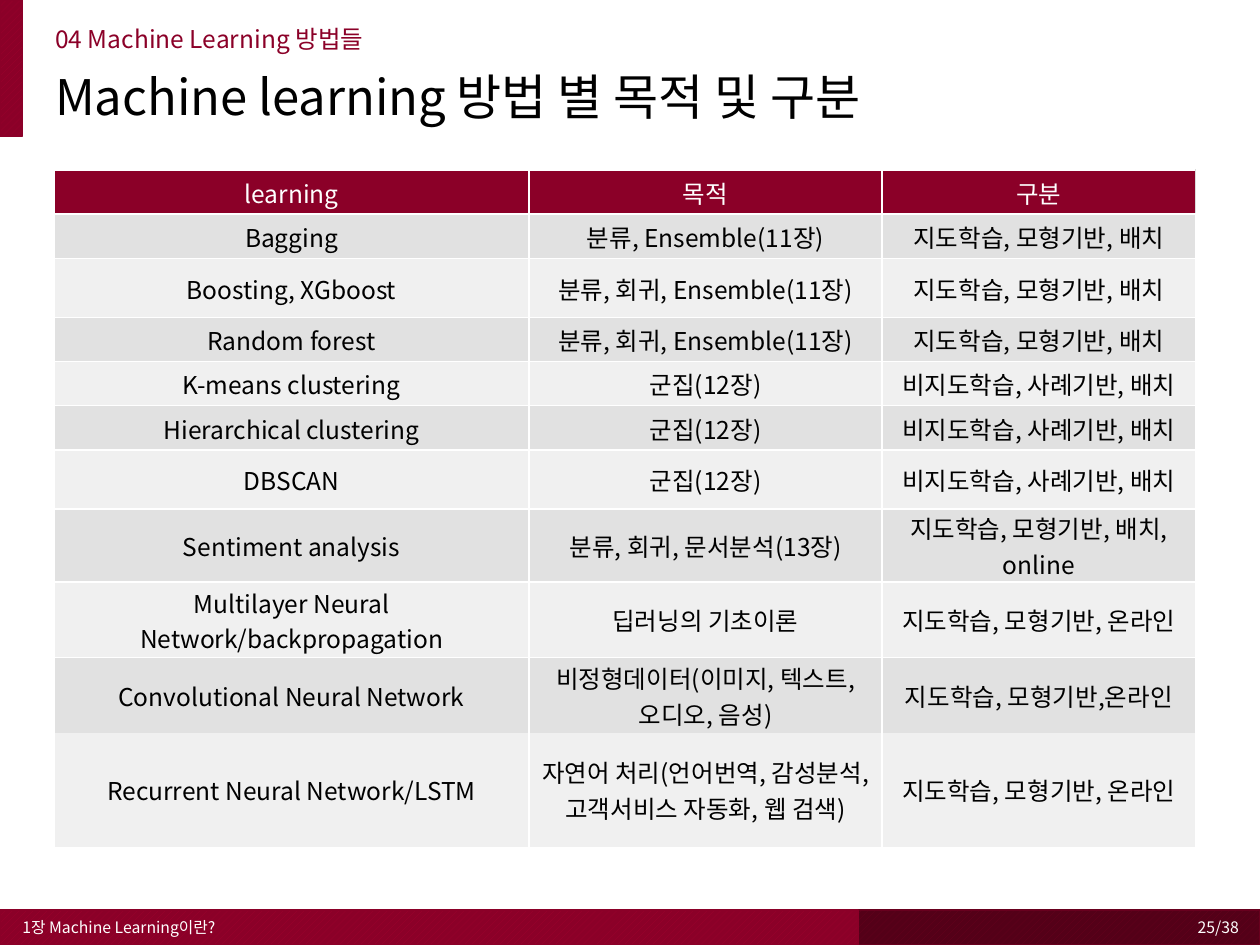
from pptx import Presentation
from pptx.dml.color import RGBColor
from pptx.enum.dml import MSO_PATTERN
from pptx.enum.shapes import MSO_SHAPE
from pptx.enum.text import MSO_ANCHOR, PP_ALIGN
from pptx.oxml.ns import qn
from pptx.util import Inches, Pt
from lxml import etree

FONT = "Noto Sans CJK KR"
WINE = RGBColor(0x8B, 0x00, 0x28)
RED = RGBColor(0x9E, 0x00, 0x2D)
DARK = RGBColor(0x54, 0x00, 0x18)
PLUM = RGBColor(0x68, 0x00, 0x1E)
WHITE = RGBColor(0xFF, 0xFF, 0xFF)
BLACK = RGBColor(0x00, 0x00, 0x00)
GREY = RGBColor(0xE1, 0xE1, 0xE1)
PALE = RGBColor(0xF0, 0xF0, 0xF0)
SILVER = RGBColor(0xDB, 0xDB, 0xDB)


def write(frame, text, size, color, align):
    para = frame.paragraphs[0]
    para.text = text
    para.alignment = align
    for run in para.runs:
        for key, val in {"size": Pt(size), "name": FONT}.items():
            setattr(run.font, key, val)
        run.font.color.rgb = color
        east = etree.SubElement(run.font._element, qn("a:ea"))
        east.set("typeface", FONT)
    return para


def edge(cell, side, color):
    props = cell._tc.get_or_add_tcPr()
    line = etree.SubElement(props, qn("a:ln" + side), w=str(Pt(1)))
    fill = etree.SubElement(line, qn("a:solidFill"))
    etree.SubElement(fill, qn("a:srgbClr"), val=str(color))


prs = Presentation()
prs.slide_width, prs.slide_height = Inches(10), Inches(7.5)
slide = prs.slides.add_slide(prs.slide_layouts[6])

# Footer bars and corner block
bars = [
    ((6.68, 7.22, 3.32, 0.28), PLUM, DARK, PLUM),
    ((0, 7.22, 6.81, 0.28), RED, WINE, WINE),
    ((0, 0, 0.18, 1.08), RED, WINE, WINE),
]
for box, fore, back, rim in bars:
    bar = slide.shapes.add_shape(MSO_SHAPE.RECTANGLE, *map(Inches, box))
    bar.shadow.inherit = False
    bar.fill.patterned()
    bar.fill.pattern = MSO_PATTERN.WIDE_UPWARD_DIAGONAL
    bar.fill.fore_color.rgb = fore
    bar.fill.back_color.rgb = back
    bar.line.color.rgb = rim
    bar.line.width = Pt(1)

# Headings and footer text
TOP, MID = MSO_ANCHOR.TOP, MSO_ANCHOR.MIDDLE
LEFT, RIGHT = PP_ALIGN.LEFT, PP_ALIGN.RIGHT
texts = [
    ((0.34, 0.53, 9.23, 0.56), "Machine learning 방법 별 목적 및 구분", 28, BLACK, LEFT, TOP, 0.9),
    ((0.34, 0.17, 9.23, 0.26), "04 Machine Learning 방법들", 14, WINE, LEFT, TOP, 0.9),
    ((0.08, 7.22, 3.38, 0.28), "1장 Machine Learning이란?", 9, WHITE, LEFT, MID, 1.0),
    ((7.68, 7.22, 2.25, 0.28), "25/38", 9, WHITE, RIGHT, MID, 1.0),
]
for box, text, size, color, align, anchor, space in texts:
    frame = slide.shapes.add_textbox(*map(Inches, box)).text_frame
    form = {"word_wrap": True, "vertical_anchor": anchor}
    for key, val in form.items():
        setattr(frame, key, val)
    write(frame, text, size, color, align).line_spacing = space

# Table of methods
BATCH = "지도학습, 모형기반, 배치"
CASE = "비지도학습, 사례기반, 배치"
LIVE = "지도학습, 모형기반, 온라인"
BOTH = "분류, 회귀, Ensemble(11장)"
GROUP = "군집(12장)"
rows = [
    (0.35, "learning", "목적", "구분"),
    (0.35, "Bagging", "분류, Ensemble(11장)", BATCH),
    (0.47, "Boosting, XGboost", BOTH, BATCH),
    (0.35, "Random forest", BOTH, BATCH),
    (0.35, "K-means clustering", GROUP, CASE),
    (0.35, "Hierarchical clustering", GROUP, CASE),
    (0.47, "DBSCAN", GROUP, CASE),
    (0.58, "Sentiment analysis", "분류, 회귀, 문서분석(13장)", "지도학습, 모형기반, 배치, online"),
    (0.6, "Multilayer Neural\vNetwork/backpropagation", "딥러닝의 기초이론", LIVE),
    (0.6, "Convolutional Neural Network", "비정형데이터(이미지, 텍스트, 오디오, 음성)",
     "지도학습, 모형기반,온라인"),
    (0.9, "Recurrent Neural Network/LSTM",
     "자연어 처리(언어번역, 감성분석, 고객서비스 자동화, 웹 검색)", LIVE),
]
cols = [3.77, 2.8, 2.49]
tall = sum(row[0] for row in rows)
table = slide.shapes.add_table(
    len(rows), len(cols), Inches(0.43), Inches(1.35), Inches(sum(cols)), Inches(tall)
).table
# Plain style without grid
table._tbl.tblPr.find(qn("a:tableStyleId")).text = "{2D5ABB26-0587-4C30-8999-92F81FD0307C}"
for col, width in zip(table.columns, cols):
    col.width = Inches(width)

for i, (height, *words) in enumerate(rows):
    table.rows[i].height = Inches(height)
    side, top, low = (0.01, 0.01, 0) if i < 8 else (0.07, 0.02, 0.02)
    for j, word in enumerate(words):
        cell = table.cell(i, j)
        form = {
            "vertical_anchor": MID,
            "margin_left": Inches(side),
            "margin_right": Inches(side),
            "margin_top": Inches(top),
            "margin_bottom": Inches(low),
        }
        for key, val in form.items():
            setattr(cell, key, val)
        write(cell.text_frame, word, 14, BLACK if i else WHITE, PP_ALIGN.CENTER)
        # White rules; the last two rows have upright ones only
        for name in "LRTB" if i < 9 else "LR":
            edge(cell, name, SILVER if (i, j, name) == (0, 2, "R") else WHITE)
        cell.fill.solid()
        cell.fill.fore_color.rgb = (GREY if i % 2 else PALE) if i else WINE

prs.save("out.pptx")
